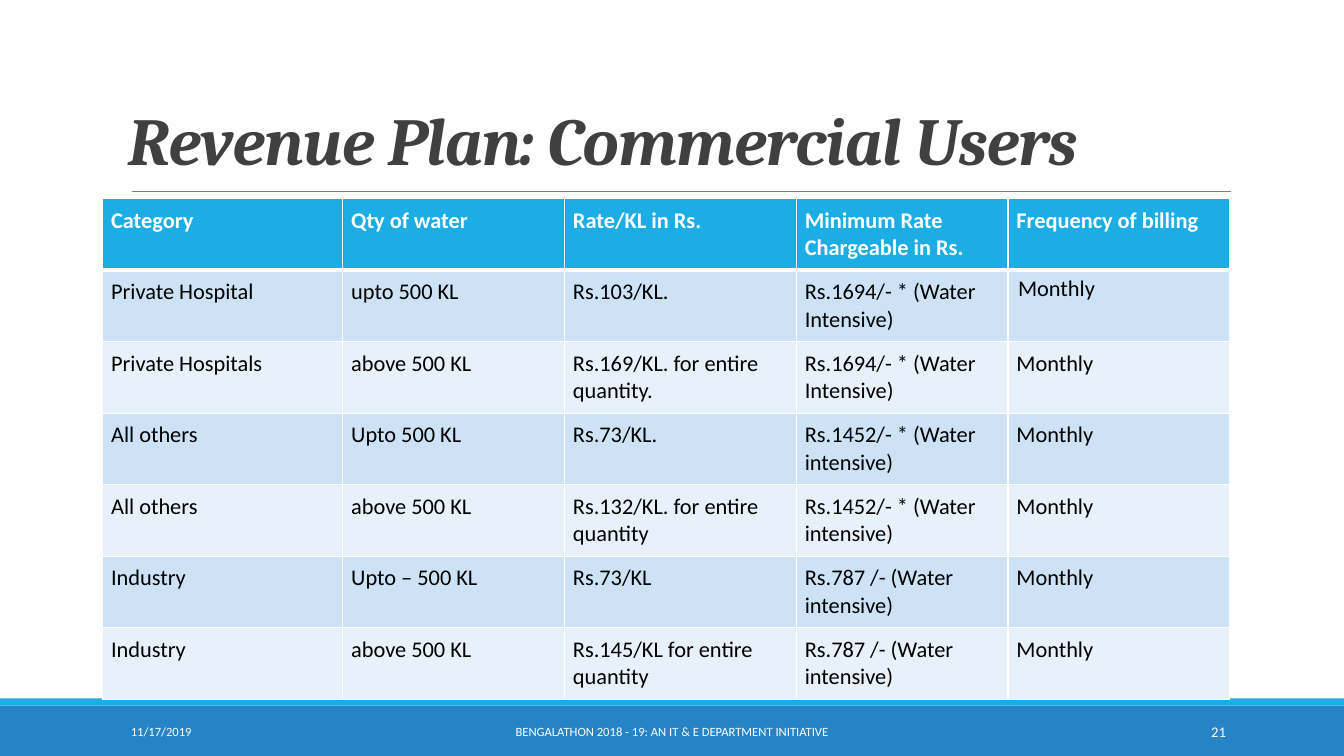
import dataclasses

import pptx
import pptx.dml.color
import pptx.enum.shapes
import pptx.enum.text
import pptx.oxml
import pptx.oxml.ns
import pptx.util

Pt = pptx.util.Pt
Align = pptx.enum.text.PP_ALIGN
Anchor = pptx.enum.text.MSO_ANCHOR

COLORS = {
    "white": "FFFFFF",
    "black": "000000",
    "title": "404040",
    "rule": "808080",
    "footer": "2683C6",
    "accent": "1CADE4",
    "odd": "CDE3F5",
    "even": "E8F1FA",
}

WIDTHS = [171.5, 158.4, 165.6, 151.2, 158.4]
ROW_HEIGHT = 51
ROWS = [
    ("Category", "Qty of water", "Rate/KL in Rs.",
     "Minimum Rate\vChargeable in Rs.", "Frequency of billing"),
    ("Private Hospital", "upto 500 KL", "Rs.103/KL.",
     "Rs.1694/- * (Water Intensive)", "Monthly"),
    ("Private Hospitals", "above 500 KL", "Rs.169/KL. for entire quantity.",
     "Rs.1694/- * (Water Intensive)", "Monthly"),
    ("All others", "Upto 500 KL", "Rs.73/KL.",
     "Rs.1452/- * (Water intensive)", "Monthly"),
    ("All others", "above 500 KL", "Rs.132/KL. for entire quantity",
     "Rs.1452/- * (Water intensive)", "Monthly"),
    ("Industry", "Upto – 500 KL", "Rs.73/KL",
     "Rs.787 /- (Water intensive)", "Monthly"),
    ("Industry", "above 500 KL", "Rs.145/KL for entire quantity",
     "Rs.787 /- (Water intensive)", "Monthly"),
]


@dataclasses.dataclass
class Band:
    top: float
    height: float
    color: str


@dataclasses.dataclass
class Note:
    text: str
    left: float
    width: float
    size: float
    align: Align


BANDS = [Band(504, 36, "footer"), Band(498.8, 5.2, "accent")]
NOTES = [
    Note("11/17/2019", 86.4, 194.4, 9, Align.LEFT),
    Note("BENGALATHON 2018 - 19: AN IT & E DEPARTMENT INITIATIVE",
         290.2, 379.4, 9, Align.CENTER),
    Note("21", 779.8, 103, 10.5, Align.RIGHT),
]


def get_color(name: str) -> pptx.dml.color.RGBColor:
    return pptx.dml.color.RGBColor.from_string(COLORS[name])


def style_text(frame, size: float, color: str, font: str = "Calibri",
               bold: bool = False, italic: bool = False) -> None:
    for para in frame.paragraphs:
        for run in para.runs:
            run.font.name = font
            run.font.size = Pt(size)
            run.font.bold = bold
            run.font.italic = italic
            run.font.color.rgb = get_color(color)


def add_band(slide, band: Band) -> None:
    shape = slide.shapes.add_shape(
        pptx.enum.shapes.MSO_SHAPE.RECTANGLE,
        0, Pt(band.top), Pt(960), Pt(band.height))
    shape.shadow.inherit = False
    shape.fill.solid()
    shape.fill.fore_color.rgb = get_color(band.color)
    shape.line.fill.background()


def add_rule(slide) -> None:
    rule = slide.shapes.add_connector(
        pptx.enum.shapes.MSO_CONNECTOR.STRAIGHT,
        Pt(94.3), Pt(136.8), Pt(879), Pt(136.8))
    rule.line.color.rgb = get_color("rule")
    rule.line.width = Pt(0.5)
    props = rule._element.spPr
    props.append(props.makeelement(pptx.oxml.ns.qn("a:effectLst"), {}))


def set_title(slide) -> None:
    title = slide.shapes.title
    title.left, title.top = Pt(84.2), Pt(69.8)
    title.width, title.height = Pt(792), Pt(61.9)
    frame = title.text_frame
    frame.text = "Revenue Plan: Commercial Users"
    frame.auto_size = pptx.enum.text.MSO_AUTO_SIZE.NONE
    frame.vertical_anchor = Anchor.BOTTOM
    para = frame.paragraphs[0]
    para.alignment = Align.LEFT
    para.line_spacing = 0.85
    style_text(frame, 48, "title", "Cambria", bold=True, italic=True)
    para.runs[0].font._element.set("spc", "-50")


def add_border(cell, side: str, width: float) -> None:
    line = pptx.oxml.parse_xml(
        f'<a:ln{side} {pptx.oxml.ns.nsdecls("a")} w="{Pt(width)}">'
        f'<a:solidFill><a:srgbClr val="{COLORS["white"]}"/></a:solidFill>'
        f'</a:ln{side}>')
    cell._tc.get_or_add_tcPr().append(line)


def fill_cell(cell, text: str, row: int) -> None:
    head = row == 0
    cell.text_frame.text = text
    style_text(cell.text_frame, 16, "white" if head else "black", bold=head)
    for side in "LRTB":
        thick = (row, side) in ((0, "B"), (1, "T"))
        add_border(cell, side, 3 if thick else 1)
    cell.fill.solid()
    name = "accent" if head else "odd" if row % 2 else "even"
    cell.fill.fore_color.rgb = get_color(name)


def add_rates(slide) -> None:
    table = slide.shapes.add_table(
        len(ROWS), len(WIDTHS), Pt(73.4), Pt(141.8),
        Pt(sum(WIDTHS)), Pt(ROW_HEIGHT * len(ROWS))).table
    for col, width in zip(table.columns, WIDTHS):
        col.width = Pt(width)
    for row, texts in enumerate(ROWS):
        table.rows[row].height = Pt(ROW_HEIGHT)
        for col, text in enumerate(texts):
            cell = table.cell(row, col)
            fill_cell(cell, text, row)
            if (row, col) != (1, 4):  # this cell keeps the default margins
                cell.margin_left = cell.margin_right = Pt(6)
                cell.margin_top = cell.margin_bottom = Pt(6)


def add_note(slide, note: Note) -> None:
    box = slide.shapes.add_textbox(
        Pt(note.left), Pt(508.3), Pt(note.width), Pt(28.8))
    frame = box.text_frame
    frame.word_wrap = True
    frame.vertical_anchor = Anchor.MIDDLE
    frame.text = note.text
    frame.paragraphs[0].alignment = note.align
    style_text(frame, note.size, "white")


def main() -> None:
    deck = pptx.Presentation()
    deck.slide_width, deck.slide_height = Pt(960), Pt(540)
    slide = deck.slides.add_slide(deck.slide_layouts[5])
    set_title(slide)
    for band in BANDS:
        add_band(slide, band)
    add_rule(slide)
    add_rates(slide)
    for note in NOTES:
        add_note(slide, note)
    deck.save("out.pptx")


if __name__ == "__main__":
    main()
